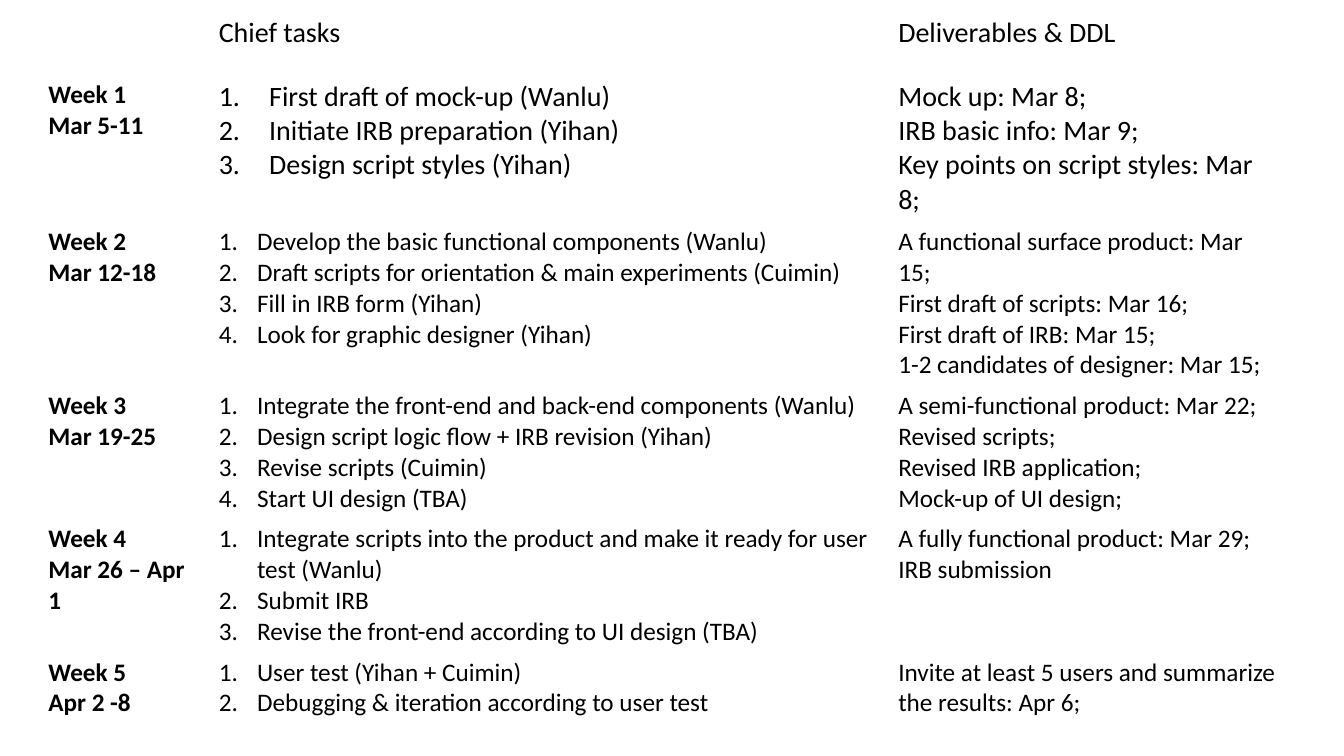
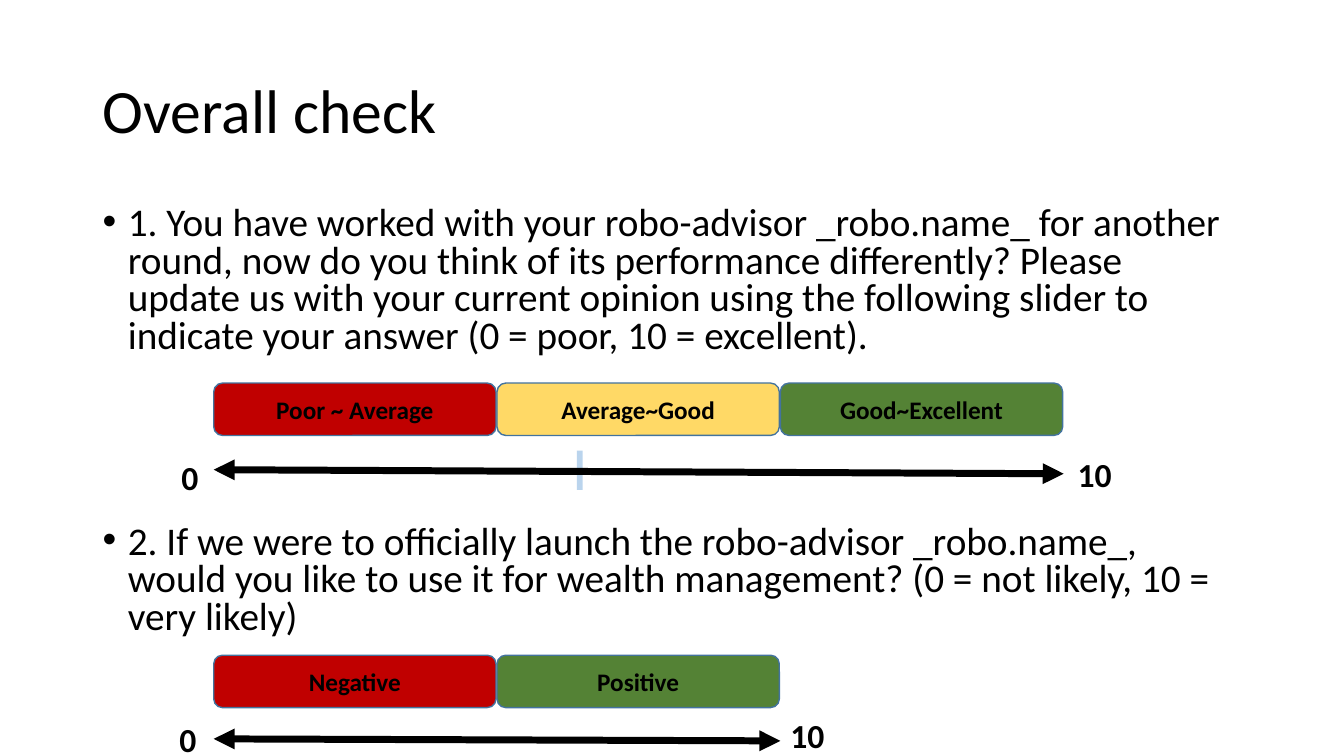
from lxml import etree
from pptx import Presentation
from pptx import util as u
from pptx.dml import color
from pptx.enum import shapes, text
from pptx.oxml import ns

FONT = "Calibri"
COLORS = {
    "ink": "000000",
    "low": "C00000",
    "middle": "FFD966",
    "high": "548235",
    "outline": "43739E",
    "marker": "9DC3E6",
}
BAND_WIDTH, BAND_HEIGHT, BAND_PITCH = 2.8, 0.52, 2.81

COLUMNS = [1.69, 6.74, 3.98]
ROW_HEIGHTS = [0.63, 0.63, 1.32, 0.78, 0.78, 0.78]
HEADINGS = ["", "Chief tasks", "Deliverables & DDL"]
WEEKS = [
    (["Week 1", "Mar 5-11"],
     ["First draft of mock-up (Wanlu)",
      "Initiate IRB preparation (Yihan)",
      "Design script styles (Yihan)"],
     ["Mock up: Mar 8;",
      "IRB basic info: Mar 9;",
      "Key points on script styles: Mar 8;"]),
    (["Week 2", "Mar 12-18"],
     ["Develop the basic functional components (Wanlu)",
      "Draft scripts for orientation & main experiments (Cuimin)",
      "Fill in IRB form (Yihan)",
      "Look for graphic designer (Yihan)"],
     ["A functional surface product: Mar 15;",
      "First draft of scripts: Mar 16;",
      "First draft of IRB: Mar 15;",
      "1-2 candidates of designer: Mar 15;"]),
    (["Week 3", "Mar 19-25"],
     ["Integrate the front-end and back-end components (Wanlu)",
      "Design script logic flow + IRB revision (Yihan)",
      "Revise scripts (Cuimin)",
      "Start UI design (TBA)"],
     ["A semi-functional product: Mar 22;",
      "Revised scripts;",
      "Revised IRB application;",
      "Mock-up of UI design;"]),
    (["Week 4", "Mar 26 – Apr 1"],
     ["Integrate scripts into the product and make it ready for user test (Wanlu)",
      "Submit IRB",
      "Revise the front-end according to UI design (TBA)"],
     ["A fully functional product: Mar 29;", "IRB submission"]),
    (["Week 5", "Apr 2 -8"],
     ["User test (Yihan + Cuimin)",
      "Debugging & iteration according to user test"],
     ["Invite at least 5 users and summarize the results: Apr 6;"]),
]
QUESTIONS = [
    "1. You have worked with your robo-advisor _robo.name_ for another round, "
    "now do you think of its performance differently? Please update us with your "
    "current opinion using the following slider to indicate your answer "
    "(0 = poor, 10 = excellent).",
    "2. If we were to officially launch the robo-advisor _robo.name_, would you "
    "like to use it for wealth management? (0 = not likely, 10 = very likely)",
]


def rgb(name):
    return color.RGBColor.from_string(COLORS[name])


def inches(*lengths):
    return [u.Inches(length) for length in lengths]


def write(frame, lines, size, bold=False):
    frame.text = "\n".join(lines)
    for para in frame.paragraphs:
        para.font.size = u.Pt(size)
        for span in para.runs:
            span.font.name = FONT
            span.font.size = u.Pt(size)
            span.font.bold = bold
            span.font.color.rgb = rgb("ink")


def add_bullet(para, indent, tag, **attributes):
    """Give the paragraph a hanging indent and a bullet element."""
    props = para._p.get_or_add_pPr()
    props.set("marL", str(u.Inches(indent)))
    props.set("indent", str(-u.Inches(indent)))
    if tag == "a:buChar":
        etree.SubElement(props, ns.qn("a:buFont"), typeface="Arial")
    etree.SubElement(props, ns.qn(tag), **attributes)


def add_text(page, box, lines, size, bold=False):
    frame = page.shapes.add_textbox(*inches(*box)).text_frame
    frame.word_wrap = True
    write(frame, lines, size, bold)
    return frame


def add_line(page, start, end, tint, width):
    line = page.shapes.add_connector(
        shapes.MSO_CONNECTOR.STRAIGHT, *inches(*start, *end))
    line.line.color.rgb = rgb(tint)
    line.line.width = u.Pt(width)
    etree.SubElement(line._element.spPr, ns.qn("a:effectLst"))
    return line


def add_arrow(page, start, end):
    line = add_line(page, start, end, "ink", 5)
    outline = line.line._get_or_add_ln()
    for tag in ("a:headEnd", "a:tailEnd"):
        etree.SubElement(outline, ns.qn(tag), type="triangle")


def add_marker(page, x, top, bottom):
    line = add_line(page, (x, top), (x, bottom), "marker", 4)
    tint = line._element.spPr.find(".//" + ns.qn("a:srgbClr"))
    etree.SubElement(tint, ns.qn("a:alpha"), val="70000")


def add_band(page, left, top, label, tint):
    band = page.shapes.add_shape(
        shapes.MSO_SHAPE.ROUNDED_RECTANGLE,
        *inches(left, top, BAND_WIDTH, BAND_HEIGHT))
    band.shadow.inherit = False
    band.fill.solid()
    band.fill.fore_color.rgb = rgb(tint)
    band.line.color.rgb = rgb("outline")
    band.line.width = u.Pt(1)
    write(band.text_frame, [label], 18, bold=True)
    band.text_frame.vertical_anchor = text.MSO_ANCHOR.MIDDLE
    band.text_frame.paragraphs[0].alignment = text.PP_ALIGN.CENTER


def add_scale(page, left, top, bands, arrow, low, high, marker=None):
    """Draw bands above a 0-10 arrow.

    arrow holds the drops of its two ends below top; low and high are the label
    offsets from the scale's left and right ends; marker is an offset from left.
    """
    right = left + BAND_PITCH * len(bands)
    for index, (label, tint) in enumerate(bands):
        add_band(page, left + index * BAND_PITCH, top, label, tint)
    if marker is not None:
        add_marker(page, left + marker, top + 0.67, top + 1.06)
    add_arrow(page, (left, top + arrow[0]), (right, top + arrow[1]))
    add_text(page, (left + low[0], top + low[1], 0.43, 0.5), ["0"], 24, True)
    add_text(page, (right + high[0], top + high[1], 0.56, 0.5), ["10"], 24, True)


def add_schedule(page, left, top):
    frame = page.shapes.add_table(
        len(ROW_HEIGHTS), len(COLUMNS),
        *inches(left, top, sum(COLUMNS), sum(ROW_HEIGHTS)))
    table = frame.table
    table.first_row = table.horz_banding = False
    for column, width in zip(table.columns, COLUMNS):
        column.width = u.Inches(width)
    for row, height in zip(table.rows, ROW_HEIGHTS):
        row.height = u.Inches(height)
    for cell in table.iter_cells():
        cell.fill.background()

    for column, heading in enumerate(HEADINGS):
        write(table.cell(0, column).text_frame, [heading], 20)
    for row, (dates, tasks, deliverables) in enumerate(WEEKS, start=1):
        size, indent = (20, 0.5) if row == 1 else (18, 0.38)
        week, chief, due = [table.cell(row, column).text_frame for column in range(3)]
        write(week, dates, 18, bold=True)
        write(chief, tasks, size)
        write(due, deliverables, size)
        for para in chief.paragraphs:
            add_bullet(para, indent, "a:buAutoNum", type="arabicPeriod")


def add_title(page, box, title):
    frame = add_text(page, box, [title], 44)
    frame.vertical_anchor = text.MSO_ANCHOR.MIDDLE
    frame.paragraphs[0].line_spacing = 0.9


def add_questions(page, box, gap):
    frame = add_text(page, box, QUESTIONS, 28)
    for para in frame.paragraphs:
        para.line_spacing = 0.8
        add_bullet(para, 0.25, "a:buChar", char="•")
    frame.paragraphs[1]._p.get_or_add_pPr()
    frame.paragraphs[1].space_before = u.Pt(gap)


def build_schedule_slide(page):
    add_schedule(page, 0.38, 0.11)


def build_check_slide(page):
    add_title(page, (0.92, 0.4, 11.5, 1.45), "Overall check")
    add_questions(page, (0.92, 2, 11.5, 4.76), gap=120)
    add_scale(
        page, 2.12, 3.8,
        [("Poor ~ Average", "low"), ("Average~Good", "middle"),
         ("Good~Excellent", "high")],
        arrow=(0.86, 0.9), low=(-0.42, 0.68), high=(0.04, 0.65), marker=3.63)
    add_scale(
        page, 2.12, 6.5, [("Negative", "low"), ("Positive", "high")],
        arrow=(0.83, 0.85), low=(-0.44, 0.58), high=(0, 0.54))


def main():
    deck = Presentation()
    deck.slide_width, deck.slide_height = inches(13.33, 7.5)
    blank = deck.slide_layouts[6]
    for build in (build_schedule_slide, build_check_slide):
        build(deck.slides.add_slide(blank))
    deck.save("out.pptx")


if __name__ == "__main__":
    main()
